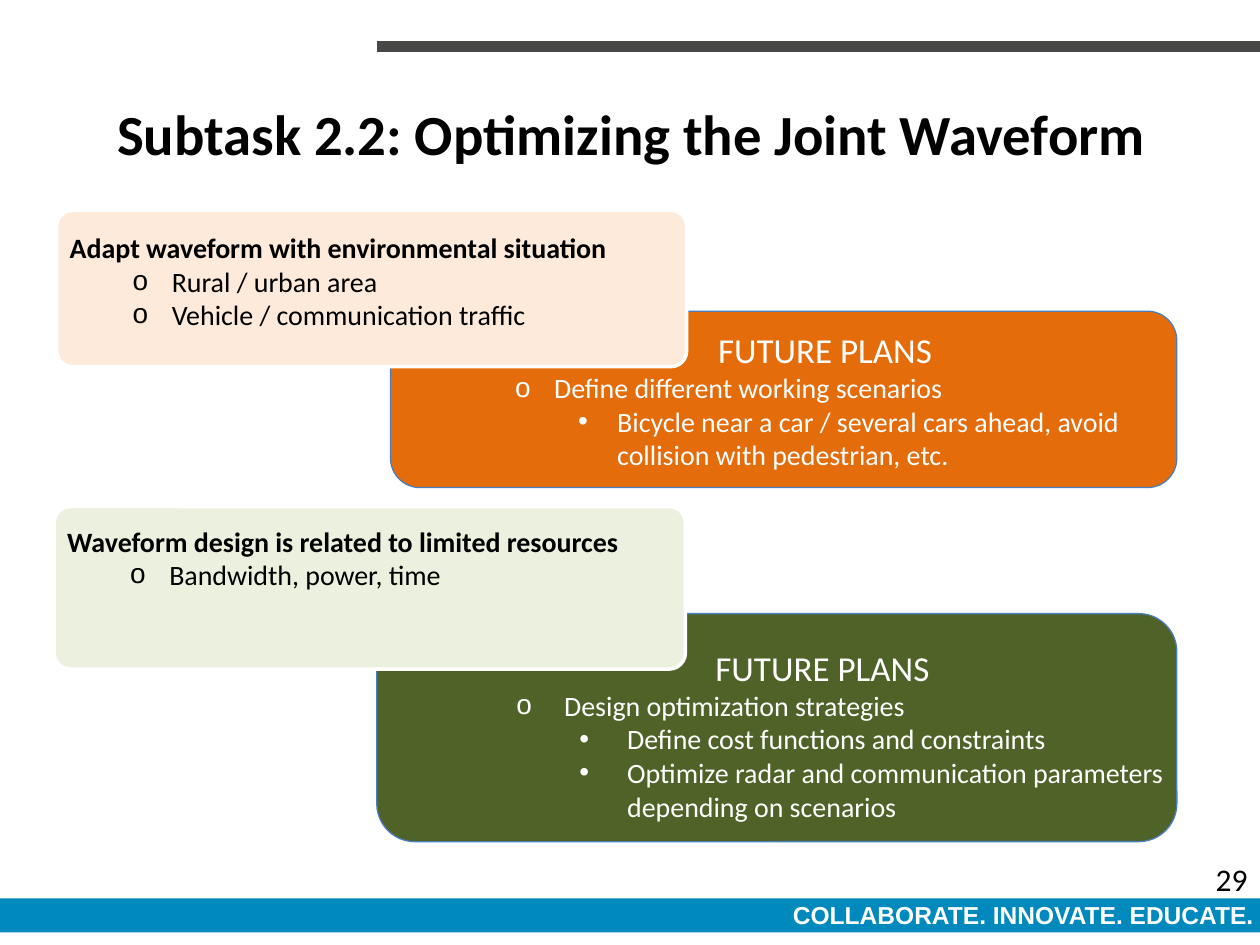
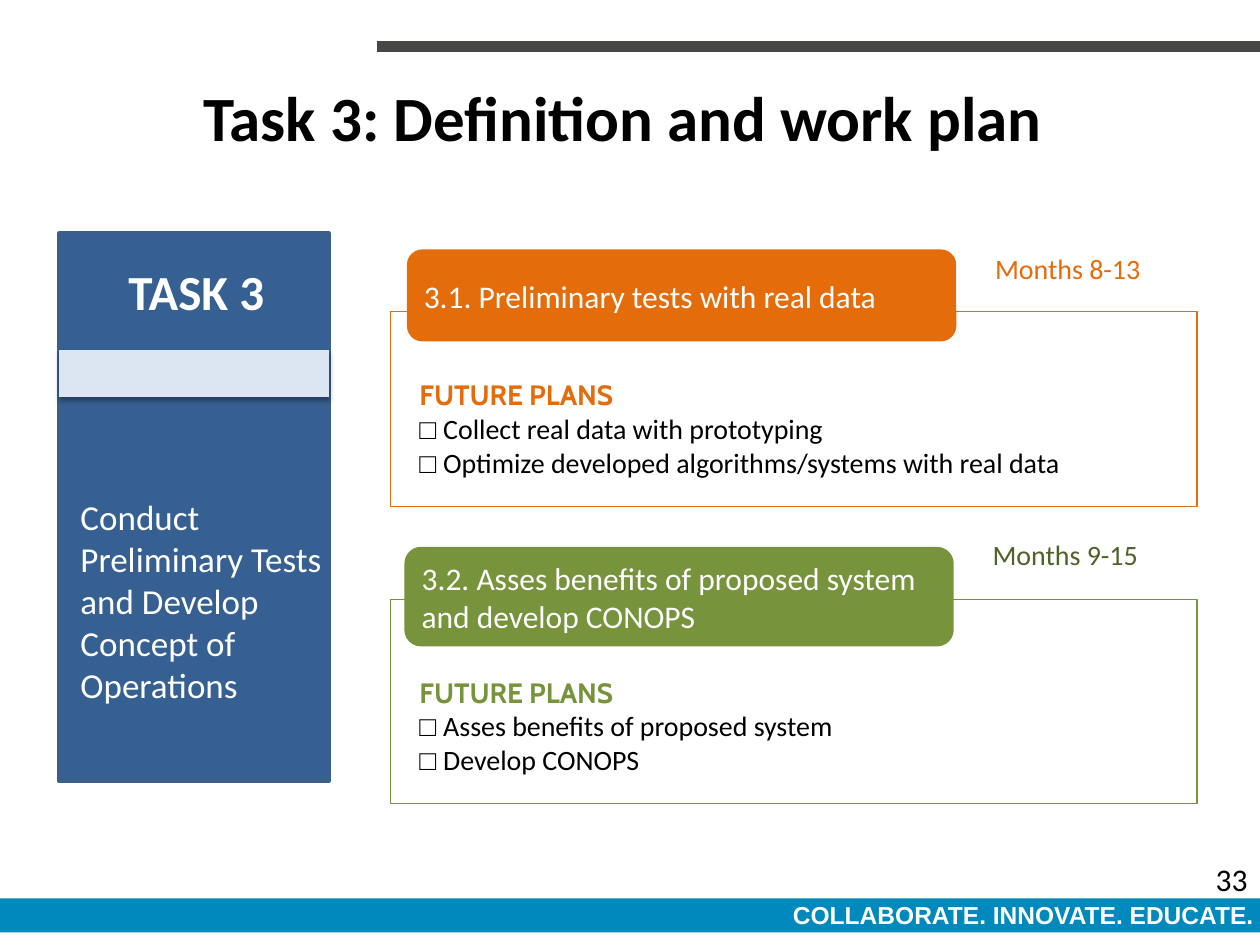
import dataclasses

import lxml.etree
import pptx
import pptx.dml.color
import pptx.enum.shapes
import pptx.enum.text
import pptx.oxml.ns
import pptx.util

RGB = pptx.dml.color.RGBColor
SHAPE = pptx.enum.shapes.MSO_SHAPE
ALIGN = pptx.enum.text.PP_ALIGN
ANCHOR = pptx.enum.text.MSO_ANCHOR

BLACK = RGB(0x00, 0x00, 0x00)
WHITE = RGB(0xFF, 0xFF, 0xFF)
RULE_GREY = RGB(0x47, 0x47, 0x46)
BAND_BLUE = RGB(0x00, 0x89, 0xBC)
EDGE_BLUE = RGB(0x4B, 0x7E, 0xBC)
TASK_BLUE = RGB(0x37, 0x60, 0x92)
TASK_EDGE = RGB(0x3A, 0x5F, 0x8C)
STRIP_BLUE = RGB(0xDC, 0xE6, 0xF2)
ORANGE = RGB(0xE4, 0x6C, 0x0A)
PEACH = RGB(0xFD, 0xEA, 0xDA)
GREEN = RGB(0x77, 0x93, 0x3C)
DARK_GREEN = RGB(0x4F, 0x62, 0x28)
PALE_GREEN = RGB(0xEB, 0xF1, 0xDE)

COLUMNS, ROWS = 100, 75
CELL = pptx.util.Inches(0.1)
BODY = {"name": "Calibri", "size": 16, "color": BLACK, "bold": False}
LIGHT = BODY | {"color": WHITE}
STRONG = BODY | {"bold": True}


@dataclasses.dataclass
class Box:
    """A region measured in grid columns and rows."""
    left: float
    top: float
    width: float
    height: float

    def inner(self, left, top, width, height):
        """Return a region offset from this one's corner."""
        return Box(self.left + left, self.top + top, width, height)

    def lengths(self):
        """Return left, top, width and height as slide lengths."""
        return [round(n * CELL) for n in (self.left, self.top, self.width, self.height)]


@dataclasses.dataclass
class Line:
    """One paragraph: spans of text and format, with its indents in columns."""
    spans: list
    margin: float = 0
    hang: float = 0
    bullet: str = ""
    alignment: ALIGN = ALIGN.LEFT


SLIDE = Box(0, 0, COLUMNS, ROWS)


def add_element(parent, tag, **attributes):
    """Append a drawing element and return it."""
    child = lxml.etree.SubElement(parent, pptx.oxml.ns.qn(tag))
    for key, value in attributes.items():
        child.set(key, str(value))
    return child


def set_font(font, formats):
    """Apply a dict of format values to a font."""
    for key, value in formats.items():
        if key == "color":
            font.color.rgb = value
        else:
            setattr(font, key, pptx.util.Pt(value) if key == "size" else value)


def write(frame, lines, wrap=True, anchor=ANCHOR.TOP):
    """Fill a text frame with lines."""
    frame.word_wrap, frame.vertical_anchor = wrap, anchor
    frame.auto_size = pptx.enum.text.MSO_AUTO_SIZE.NONE
    for index, line in enumerate(lines):
        para = frame.add_paragraph() if index else frame.paragraphs[0]
        para.alignment = line.alignment
        if line.margin:
            properties = para._p.get_or_add_pPr()
            properties.set("marL", str(round(line.margin * CELL)))
            properties.set("indent", str(round(-line.hang * CELL)))
        if line.bullet:
            add_element(properties, "a:buFont", typeface="Arial")
            add_element(properties, "a:buChar", char=line.bullet)
        for text, formats in line.spans:
            span = para.add_run()
            span.text = text
            set_font(span.font, formats)


def add_text(page, box, lines, wrap=True):
    """Add a text box."""
    write(page.shapes.add_textbox(*box.lengths()).text_frame, lines, wrap)


def add_panel(page, box, fill=None, edge=None, weight=0.75, kind=SHAPE.RECTANGLE):
    """Add a shape with a plain fill and edge."""
    panel = page.shapes.add_shape(kind, *box.lengths())
    panel.shadow.inherit = False
    if fill is None:
        panel.fill.background()
    else:
        panel.fill.solid()
        panel.fill.fore_color.rgb = fill
    if edge is None:
        panel.line.fill.background()
    else:
        panel.line.color.rgb = edge
        panel.line.width = pptx.util.Pt(weight)
    return panel


def add_page(deck, title, size, title_box, number):
    """Start a page with its rule, band, motto, title and number."""
    page = deck.slides.add_slide(deck.slide_layouts[5])
    rule = page.shapes.add_connector(
        pptx.enum.shapes.MSO_CONNECTOR.STRAIGHT,
        *[round(n * CELL) for n in (29.9, 3.7, COLUMNS, 3.7)])
    rule.line.color.rgb = RULE_GREY
    rule.line.width = pptx.util.Pt(6)
    add_element(rule._element.spPr, "a:effectLst")
    add_panel(page, SLIDE.inner(0, 71.3, COLUMNS, 2.7), BAND_BLUE)
    motto = {"name": "Arial", "size": 14, "color": WHITE, "bold": True}
    add_text(page, SLIDE.inner(56.2, 70.9, 44.3, 3.4),
             [Line([("COLLABORATE. INNOVATE. EDUCATE.", motto)], alignment=ALIGN.RIGHT)])
    heading = page.shapes.title
    heading.left, heading.top, heading.width, heading.height = title_box.lengths()
    write(heading.text_frame,
          [Line([(title, STRONG | {"size": size})], alignment=ALIGN.CENTER)],
          anchor=ANCHOR.MIDDLE)
    add_text(page, SLIDE.inner(76.7, 67.8, 23.3, 4),
             [Line([(number, BODY | {"size": 18})], alignment=ALIGN.RIGHT)])
    return page


def add_plan(page, box, fill, text_box, lines):
    """Draw a rounded panel of future plans."""
    add_panel(page, box, fill, EDGE_BLUE, kind=SHAPE.ROUNDED_RECTANGLE)
    add_text(page, text_box, lines)


def add_topic(page, box, fill, text_top, heading, points):
    """Draw a pale card with a bold heading and its points."""
    card = add_panel(page, box, fill, WHITE, 2, SHAPE.ROUNDED_RECTANGLE)
    card.adjustments[0] = 0.1
    lines = [Line([(heading, STRONG)])]
    lines += [Line([(point, BODY)], 8.1, 3.1, "o") for point in points]
    add_text(page, box.inner(0.05, text_top, 50.5, 9.2), lines)


def plan_lines(heading_margin, margin, hang, goal, details):
    """Return the lines of a plan: heading, goal and its details."""
    return [Line([("FUTURE PLANS", LIGHT | {"size": 20})], heading_margin),
            Line([(goal, LIGHT)], margin, hang, "o"),
            *[Line([(detail, LIGHT)], margin + 5, hang, "•") for detail in details]]


def build_waveform(deck):
    """Build the page on the joint waveform."""
    page = add_page(deck, "Subtask 2.2: Optimizing the Joint Waveform", 32.4,
                    SLIDE.inner(1.9, 4.3, 96.4, 12.5), "29")
    scenarios = SLIDE.inner(31, 24.7, 62.4, 14)
    add_plan(page, scenarios, ORANGE, scenarios.inner(3.9, 0.9, 60.1, 17.8),
             plan_lines(21.1, 8.1, 3.1, "Define different working scenarios",
                        ["Bicycle near a car / several cars ahead, "
                         "avoid collision with pedestrian, etc."]))
    add_topic(page, SLIDE.inner(4.5, 16.7, 50, 12.4), PEACH, 1.1,
              "Adapt waveform with environmental situation",
              ["Rural / urban area", "Vehicle / communication traffic"])
    strategies = SLIDE.inner(29.9, 48.7, 63.5, 18.1)
    add_plan(page, strategies, DARK_GREEN, strategies.inner(10.1, 2.1, 62.7, 15.1),
             plan_lines(15.8, 3.8, 3.8, "Design optimization strategies",
                        ["Define cost functions and constraints",
                         "Optimize radar and communication parameters "
                         "depending on scenarios"]))
    add_topic(page, SLIDE.inner(4.3, 40.2, 50.1, 12.9), PALE_GREEN, 0.9,
              "Waveform design is related to limited resources",
              ["Bandwidth, power, time"])


def add_task(page, box):
    """Draw the task column with its name, strip and goal."""
    add_panel(page, box, TASK_BLUE, TASK_EDGE, 2)
    add_text(page, box.inner(0.7, 20.3, 21.8, 21.2),
             [Line([("Conduct Preliminary Tests and Develop Concept of Operations",
                     LIGHT | {"size": 20})])])
    add_text(page, box.inner(4.5, 1.8, 12.9, 5.7),
             [Line([("TASK 3", LIGHT | {"size": 28, "bold": True})])], wrap=False)
    strip = add_panel(page, box.inner(0, 9.3, box.width, 3.7), STRIP_BLUE, STRIP_BLUE)
    effects = strip._element.spPr.find(pptx.oxml.ns.qn("a:effectLst"))
    shadow = add_element(effects, "a:outerShdw", blurRad=pptx.util.Pt(3.1),
                         dist=pptx.util.Pt(1.8), dir=90 * 60000, rotWithShape=0)
    add_element(add_element(shadow, "a:srgbClr", val=BLACK), "a:alpha", val=35000)


def add_subtask(page, box, color, tag_box, tag, months, months_box, months_color, plans):
    """Draw an outlined subtask with its tag, months and plans."""
    add_panel(page, box, edge=color)
    label = add_panel(page, tag_box, color, kind=SHAPE.ROUNDED_RECTANGLE)
    write(label.text_frame, [Line([(tag, LIGHT | {"size": 18})])], anchor=ANCHOR.MIDDLE)
    add_text(page, months_box, [Line([(months, BODY | {"color": months_color})])],
             wrap=False)
    lines = [Line([("FUTURE PLANS", STRONG | {"name": "Cabin", "color": color})])]
    lines += [Line([("□ ", BODY | {"name": "Times New Roman"}), (plan, BODY)])
              for plan in plans]
    add_text(page, box.inner(1.3, box.height - 10.7, 59.8, 9.1), lines)


def build_work_plan(deck):
    """Build the page on the work plan of the third task."""
    page = add_page(deck, "Task 3: Definition and work plan ", 36,
                    SLIDE.inner(5, 3, 90, 12.5), "33")
    add_task(page, SLIDE.inner(4.7, 18.5, 21.4, 43.5))
    tests = SLIDE.inner(31, 24.7, 64, 15.5)
    add_subtask(page, tests, ORANGE, tests.inner(1.3, -4.9, 43.6, 7.3),
                "3.1. Preliminary tests with real data",
                "Months 8-13", tests.inner(47, -5.2, 13.7, 3.7), ORANGE,
                ["Collect real data with prototyping",
                 "Optimize developed algorithms/systems with real data"])
    benefits = SLIDE.inner(31, 47.6, 64, 16.2)
    add_subtask(page, benefits, GREEN, benefits.inner(1.1, -4.2, 43.6, 7.9),
                "3.2. Asses benefits of proposed system and develop CONOPS",
                "Months 9-15", benefits.inner(46.8, -5.4, 13.7, 3.7), DARK_GREEN,
                ["Asses benefits of proposed system", "Develop CONOPS"])


def main():
    """Build and save the deck."""
    deck = pptx.Presentation()
    deck.slide_width, deck.slide_height = COLUMNS * CELL, ROWS * CELL
    build_waveform(deck)
    build_work_plan(deck)
    deck.save("out.pptx")


if __name__ == "__main__":
    main()
